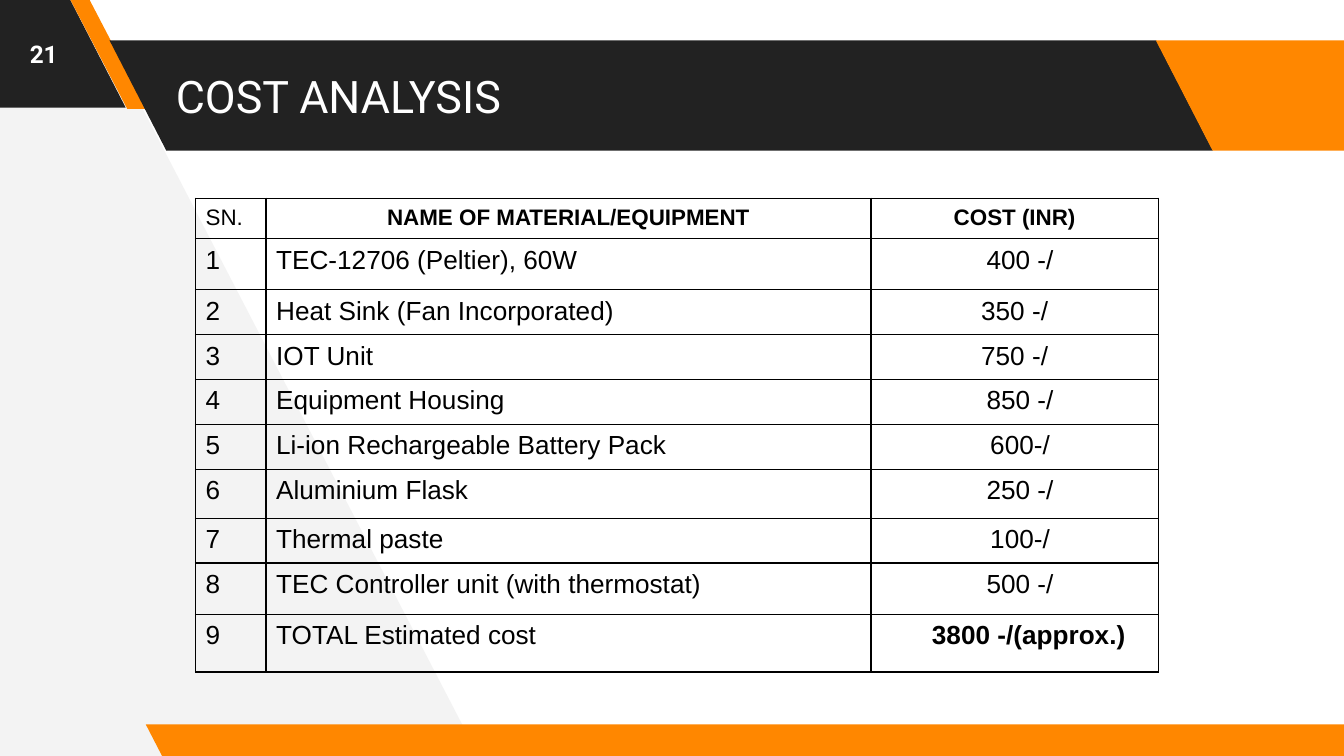
from pptx import Presentation
from pptx.dml.color import RGBColor
from pptx.enum.shapes import MSO_SHAPE as Shape
from pptx.enum.text import MSO_ANCHOR as Anchor, PP_ALIGN as Align
from pptx.oxml.ns import qn
from pptx.util import Pt
from lxml.etree import SubElement

PX = 4572  # 200 px to the inch
BLACK = RGBColor(0x00, 0x00, 0x00)
WHITE = RGBColor(0xFF, 0xFF, 0xFF)
DARK = RGBColor(0x22, 0x22, 0x22)
ORANGE = RGBColor(0xFF, 0x87, 0x00)
PALE = RGBColor(0xF3, 0xF3, 0xF3)


def paint(shape, color):
    shape.shadow.inherit = False
    shape.fill.solid()
    shape.fill.fore_color.rgb = color
    shape.line.fill.background()


def write(para, text, color, **formats):
    span = para.add_run()
    span.text = text
    span.font.color.rgb = color
    for name, value in formats.items():
        setattr(span.font, name, value)


deck = Presentation()
deck.slide_width, deck.slide_height = 2000 * PX, 1125 * PX
page = deck.slides.add_slide(deck.slide_layouts[6])

# Pale wedge on the left
outline = page.shapes.build_freeform(712, 1125, scale=PX)
outline.add_line_segments([(124, -8), (-12, -8), (-4, 1132)], close=True)
paint(outline.convert_to_shape(), PALE)

# Slanted bands
bands = [
    (-197, -4, 384, 164, 0.515, DARK),
    (104, -2, 114, 164, 0.75, ORANGE),
    (163, 60, 1642, 164, 0.515, DARK),
    (1720, 60, 384, 164, 0.515, ORANGE),
    (217, 1078, 1830, 50, 0.515, ORANGE),
]
for left, top, width, height, slant, color in bands:
    band = page.shapes.add_shape(
        Shape.PARALLELOGRAM, left * PX, top * PX, width * PX, height * PX)
    band.adjustments[0] = slant
    band._element.spPr.find(qn("a:xfrm")).set("flipH", "1")
    paint(band, color)

# Title and page number
labels = [
    ("COST ANALYSIS", 242, 60, 1470, 164, Align.LEFT, 24, False),
    ("21", 0, 0, 130, 160, Align.CENTER, 13, True),
]
for text, left, top, width, height, align, size, bold in labels:
    box = page.shapes.add_textbox(left * PX, top * PX, width * PX, height * PX)
    frame = box.text_frame
    formats = dict(word_wrap=True, vertical_anchor=Anchor.MIDDLE,
                   margin_left=20 * PX, margin_right=20 * PX,
                   margin_top=20 * PX, margin_bottom=20 * PX)
    for name, value in formats.items():
        setattr(frame, name, value)
    para = frame.paragraphs[0]
    para.alignment = align
    write(para, text, WHITE, name="Roboto", size=Pt(size), bold=bold)

# Cost table: number, material, cost, left indent of the cost
header = ("SN.", "NAME OF MATERIAL/EQUIPMENT", "COST (INR)", 0)
items = [
    ("TEC-12706 (Peltier), 60W", "400 -/", 16),
    ("Heat Sink (Fan Incorporated)", "350 -/", 0),
    ("IOT Unit", "750 -/", 0),
    ("Equipment Housing", "850 -/", 16),
    ("Li-ion Rechargeable Battery Pack", "600-/", 16),
    ("Aluminium Flask", "250 -/", 16),
    ("Thermal paste", "100-/", 16),
    ("TEC Controller unit (with thermostat)", "500 -/", 16),
    ("TOTAL Estimated cost", "3800 -/(approx.)", 42),
]
rows = [header] + [(str(n), *item) for n, item in enumerate(items, 1)]
widths = [105, 900, 428]
heights = [54, 76, 56, 62, 52, 54, 73, 60, 76, 86]

table = page.shapes.add_table(
    len(rows), len(widths), 291 * PX, 295 * PX,
    sum(widths) * PX, sum(heights) * PX).table
table.first_row = table.horz_banding = False
for column, width in zip(table.columns, widths):
    column.width = width * PX
for row, height in zip(table.rows, heights):
    row.height = height * PX

for r, (*texts, indent) in enumerate(rows):
    for c, text in enumerate(texts):
        cell = table.cell(r, c)
        formats = dict(margin_left=15 * PX, margin_right=15 * PX,
                       margin_top=10 * PX, margin_bottom=10 * PX)
        for name, value in formats.items():
            setattr(cell, name, value)

        # Thin black borders, no fill
        props = cell._tc.get_or_add_tcPr()
        for side in ("lnL", "lnR", "lnT", "lnB"):
            line = SubElement(props, qn(f"a:{side}"), w=str(Pt(0.75)))
            solid = SubElement(line, qn("a:solidFill"))
            SubElement(solid, qn("a:srgbClr"), val=str(BLACK))
        cell.fill.background()

        para = cell.text_frame.paragraphs[0]
        centred = c == 2 or (r == 0 and c == 1)
        formats = dict(alignment=Align.CENTER if centred else Align.LEFT,
                       line_spacing=1.0, space_after=Pt(8))
        for name, value in formats.items():
            setattr(para, name, value)
        if c == 2 and indent:
            para._p.get_or_add_pPr().set("marL", str(indent * PX))
        bold = (r == 0 and c > 0) or (r == len(items) and c == 2)
        write(para, text, BLACK, name="Arial",
              size=Pt(14 if r else 12), bold=bold)

deck.save("out.pptx")
